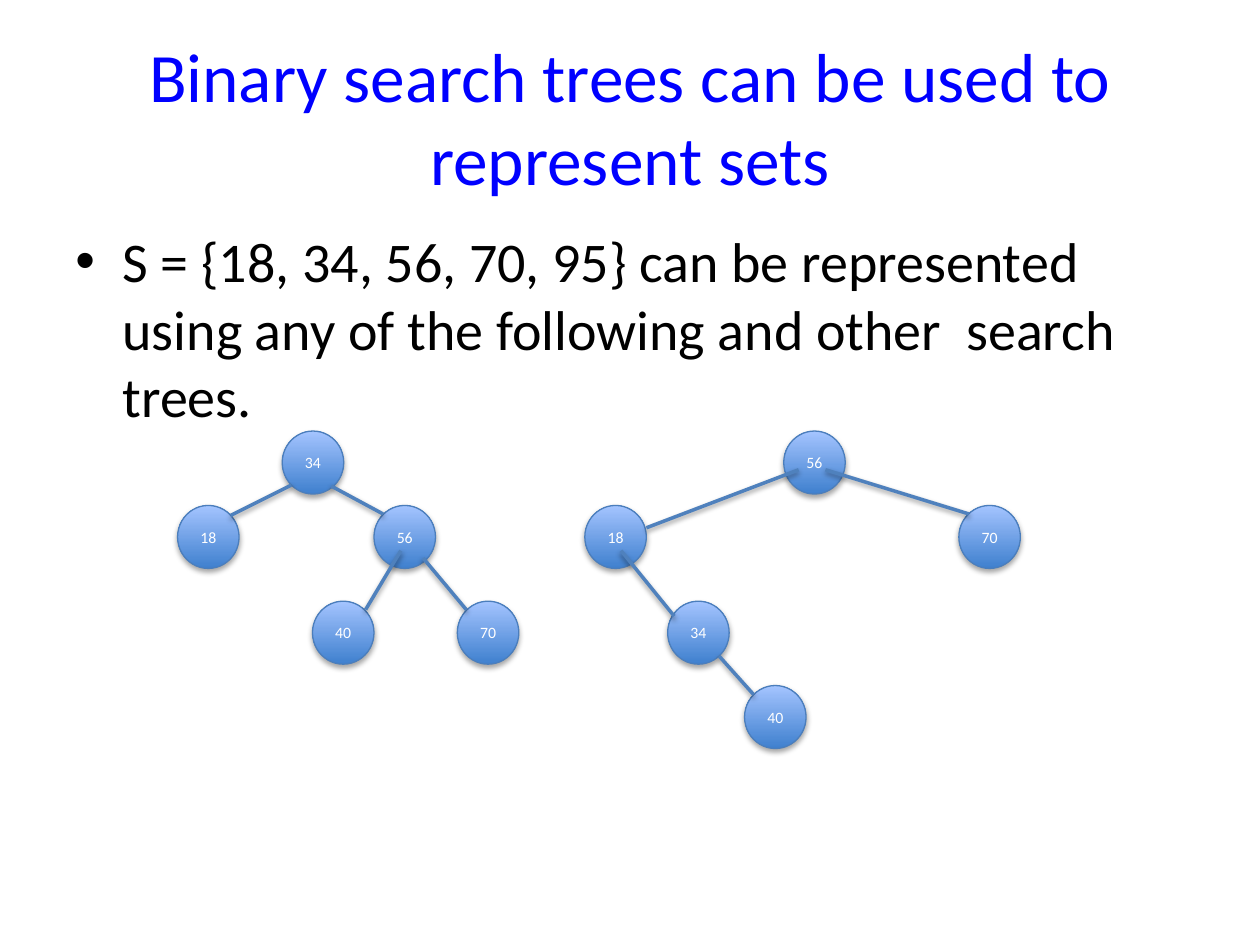
"""Build a slide showing two binary search trees for one set."""
from pptx import Presentation
from pptx.dml.color import RGBColor
from pptx.enum.shapes import MSO_CONNECTOR, MSO_SHAPE
from pptx.enum.text import MSO_ANCHOR, PP_ALIGN
from pptx.oxml import parse_xml
from pptx.oxml.ns import nsdecls
from pptx.util import Cm, Pt


def write(frame, text, size, color, align=PP_ALIGN.CENTER, anchor=MSO_ANCHOR.MIDDLE):
    frame.word_wrap = True
    frame.vertical_anchor = anchor
    line = frame.paragraphs[0]
    line.alignment = align
    run = line.add_run()
    run.text = text
    run.font.name = "Calibri"
    run.font.size = Pt(size)
    run.font.color.rgb = RGBColor.from_string(color)
    return line


def shade(shape, color, width, dist, alpha):
    shape.line.color.rgb = RGBColor.from_string(color)
    shape.line.width = Pt(width)
    shape.element.spPr.append(parse_xml(
        f'<a:effectLst {nsdecls("a")}><a:outerShdw blurRad="{Pt(3.1)}" dist="{Pt(dist)}" '
        'dir="5400000" rotWithShape="0"><a:srgbClr val="000000">'
        f'<a:alpha val="{alpha * 1000}"/></a:srgbClr></a:outerShdw></a:effectLst>'))


deck = Presentation()
deck.slide_width, deck.slide_height = Cm(25.4), Cm(19.05)
slide = deck.slides.add_slide(deck.slide_layouts[5])
shapes = slide.shapes

title = shapes.title
title.left, title.top, title.width, title.height = Cm(1.27), Cm(0.76), Cm(22.86), Cm(3.18)
write(title.text_frame, "Binary search trees can be used to represent sets", 39.6, "0000FF")

body = shapes.add_textbox(Cm(1.27), Cm(4.45), Cm(22.86), Cm(12.57))
item = write(body.text_frame,
             "S = {18, 34, 56, 70, 95} can be represented using any of the following "
             "and other  search trees.",
             32, "000000", align=PP_ALIGN.LEFT, anchor=MSO_ANCHOR.TOP)
item.space_before = Pt(6.4)
props = item._p.get_or_add_pPr()
props.set("marL", str(Cm(0.95)))
props.set("indent", str(Cm(-0.95)))
props.append(parse_xml(f'<a:buFont {nsdecls("a")} typeface="Arial"/>'))
props.append(parse_xml(f'<a:buChar {nsdecls("a")} char="•"/>'))

rows = [
    (8.69, [("34", 5.69), ("56", 15.8)]),
    (10.19, [("18", 3.58), ("56", 7.54), ("18", 11.79), ("70", 19.33)]),
    (12.12, [("40", 6.3), ("70", 9.22), ("34", 13.46)]),
    (13.82, [("40", 15.01)]),
]
for top, nodes in rows:
    for key, left in nodes:
        node = shapes.add_shape(MSO_SHAPE.OVAL, Cm(left), Cm(top), Cm(1.24), Cm(1.27))
        node.fill.gradient()
        node.fill.gradient_angle = 90
        for stop, color in zip(node.fill.gradient_stops, ("3F80CE", "A4C4FF")):
            stop.color.rgb = RGBColor.from_string(color)
        shade(node, "4B7EBC", 0.75, 1.8, 35)
        frame = node.text_frame
        frame.margin_left = frame.margin_right = frame.margin_top = frame.margin_bottom = 0
        write(frame, key, 9, "FFFFFF")

edges = [
    (6.68, 9.8, 7.72, 10.36),
    (5.87, 9.78, 4.65, 10.39),
    (8.53, 11.25, 9.4, 12.29),
    (8.08, 11.1, 7.37, 12.29),
    (13.03, 10.64, 16.1, 9.47),
    (16.64, 9.47, 19.53, 10.36),
    (12.52, 11.1, 13.59, 12.42),
    (14.5, 13.23, 15.19, 14),
]
for ends in edges:
    edge = shapes.add_connector(MSO_CONNECTOR.STRAIGHT, *map(Cm, ends))
    shade(edge, "4F81BD", 2, 1.6, 38)

deck.save("out.pptx")
